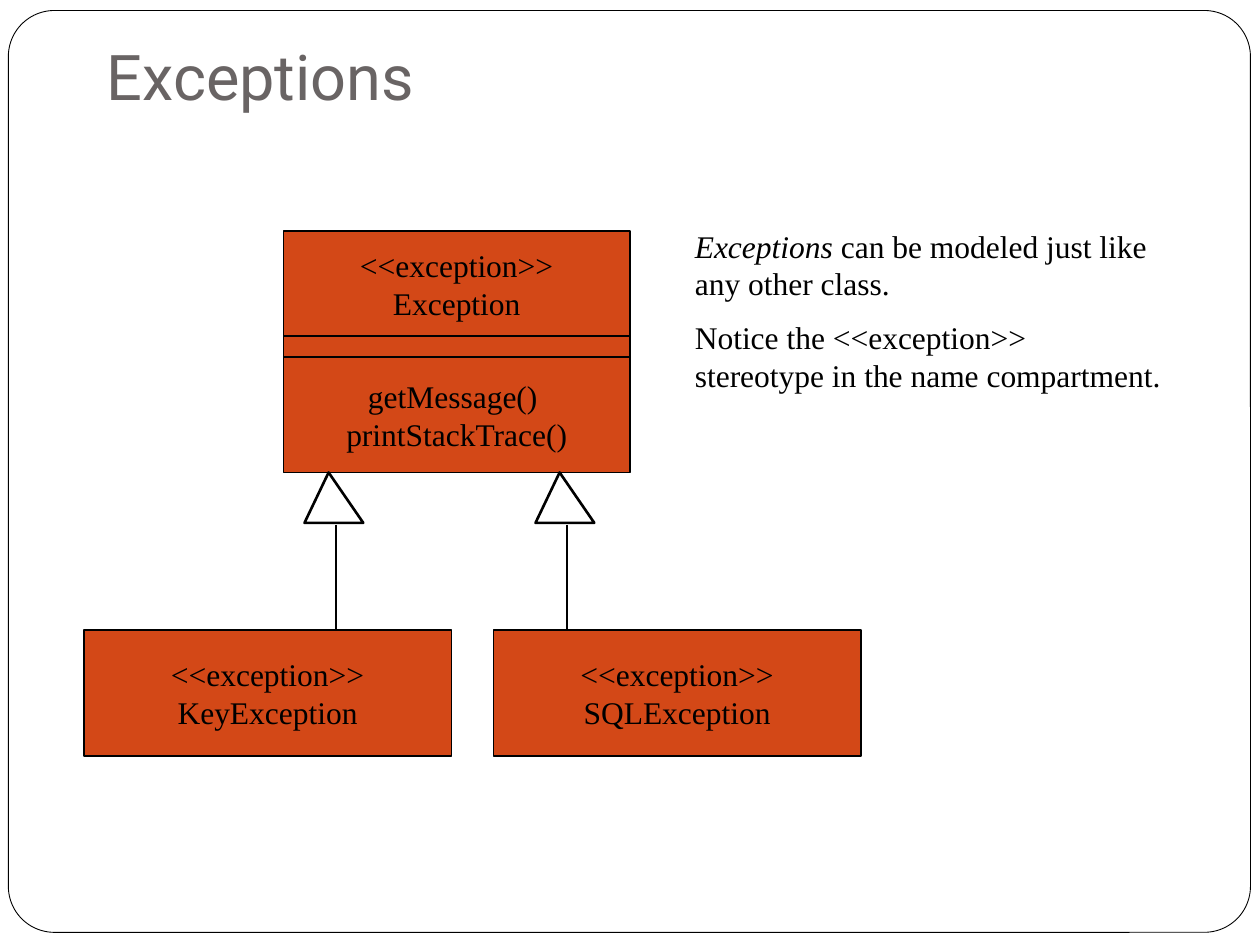
from typing import NamedTuple

from lxml.etree import SubElement
from pptx import Presentation
from pptx.dml.color import RGBColor
from pptx.enum.shapes import MSO_CONNECTOR, MSO_SHAPE
from pptx.enum.text import MSO_ANCHOR, PP_ALIGN
from pptx.oxml.ns import qn
from pptx.util import Emu, Pt

PX = 7620  # EMU per px, 120 px to the inch
COLORS = {"paper": "FFFFFF", "ink": "000000", "title": "696464", "box": "D34817"}
BODY = {"name": "Times New Roman", "size": Pt(18)}
TITLE = {"name": "Roboto", "size": Pt(36)}


class Compartment(NamedTuple):
    x: int
    y: int
    w: int
    h: int
    paragraphs: tuple[str, ...] = ()


# A vertical tab is a line break inside a paragraph
COMPARTMENTS = [
    Compartment(80, 600, 350, 120, ("<<exception>>\vKeyException",)),
    Compartment(470, 600, 350, 120, ("<<exception>>\vSQLException",)),
    Compartment(270, 220, 330, 100, ("<<exception>>\vException",)),
    Compartment(270, 340, 330, 110, ("getMessage() ", "printStackTrace()")),
    Compartment(270, 320, 330, 20),
]
INHERITANCE_X = (320, 540)


def px(*values: int) -> list[Emu]:
    return [Emu(v * PX) for v in values]


def rgb(name: str) -> RGBColor:
    return RGBColor.from_string(COLORS[name])


def set_font(font, style: dict, color: str = "ink") -> None:
    for key, value in style.items():
        setattr(font, key, value)
    font.color.rgb = rgb(color)


def paint(sp, fill: str, width: float) -> None:
    sp.shadow.inherit = False
    sp.fill.solid()
    sp.fill.fore_color.rgb = rgb(fill)
    sp.line.color.rgb = rgb("ink")
    sp.line.width = Pt(width)


def add_compartment(s, item: Compartment) -> None:
    sp = s.shapes.add_shape(MSO_SHAPE.RECTANGLE, *px(item.x, item.y, item.w, item.h))
    paint(sp, "box", 0.75)
    tf = sp.text_frame
    tf.word_wrap = False
    tf.vertical_anchor = MSO_ANCHOR.MIDDLE
    for i, text in enumerate(item.paragraphs):
        p = tf.add_paragraph() if i else tf.paragraphs[0]
        p.text = text
        p.alignment = PP_ALIGN.CENTER
        for r in p.runs:
            set_font(r.font, BODY)


def add_inheritance(s, x: int) -> None:
    """Hollow triangle under the parent class and the line to its subclass."""
    builder = s.shapes.build_freeform(x - 7, 450, scale=PX)
    builder.add_line_segments([(x - 30, 498), (x + 26, 498)], close=True)
    paint(builder.convert_to_shape(), "paper", 1.5)
    line = s.shapes.add_connector(MSO_CONNECTOR.STRAIGHT, *px(x, 500, x, 600))
    line.line.color.rgb = rgb("ink")
    line.line.width = Pt(0.75)
    SubElement(line._element.spPr, qn("a:effectLst"))


def add_text(s, box: tuple[int, ...], paragraphs: list, style: dict, color: str):
    """Each paragraph is a list of (text, italic) pairs."""
    tf = s.shapes.add_textbox(*px(*box)).text_frame
    tf.word_wrap = True
    for i, runs in enumerate(paragraphs):
        p = tf.add_paragraph() if i else tf.paragraphs[0]
        if i:
            p.space_before = Pt(9)
        for text, italic in runs:
            r = p.add_run()
            r.text = text
            set_font(r.font, style | {"italic": italic}, color)
    return tf


def main() -> None:
    prs = Presentation()
    prs.slide_width, prs.slide_height = px(1200, 900)
    s = prs.slides.add_slide(prs.slide_layouts[6])

    # Slide frame
    frame = s.shapes.add_shape(MSO_SHAPE.ROUNDED_RECTANGLE, *px(8, 10, 1183, 878))
    frame.adjustments[0] = 0.05
    paint(frame, "paper", 0.5)

    # Title
    tf = add_text(s, (90, 50, 1030, 70), [[("Exceptions", False)]], TITLE, "title")
    tf.vertical_anchor = MSO_ANCHOR.BOTTOM
    tf.margin_bottom = Emu(12 * PX)

    # Class diagram
    for item in COMPARTMENTS:
        add_compartment(s, item)
    for x in INHERITANCE_X:
        add_inheritance(s, x)

    # Explanation
    add_text(s, (650, 210, 470, 276), [
        [("Exceptions", True), (" can be modeled just like any other class.", False)],
        [("Notice the <<exception>> stereotype in the name compartment.", False)],
    ], BODY, "ink")

    prs.save("out.pptx")


if __name__ == "__main__":
    main()
